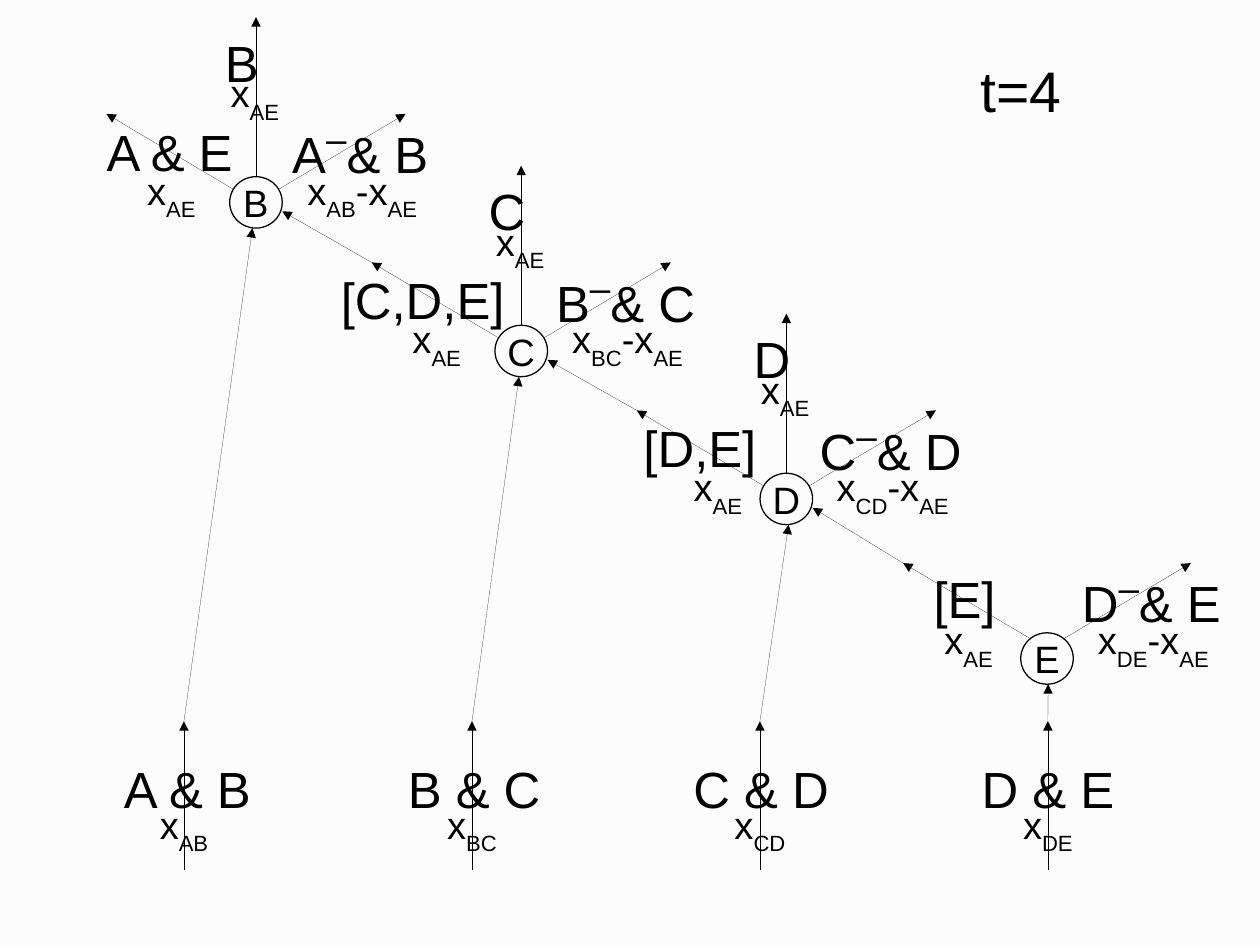
from lxml.etree import SubElement
from pptx import Presentation
from pptx.dml.color import RGBColor
from pptx.enum.shapes import MSO_CONNECTOR, MSO_SHAPE
from pptx.enum.text import MSO_ANCHOR, MSO_AUTO_SIZE, PP_ALIGN
from pptx.oxml.ns import qn
from pptx.util import Pt

BLACK = RGBColor(0x00, 0x00, 0x00)
PAPER = RGBColor(0xFC, 0xFC, 0xFC)
FONT = "Arial"
NODE_W, NODE_H = 33.1, 32.4
RISE = 47.5  # height of every slanted branch
REACH = 79.9  # width of every slanted branch
INPUT_X, INPUT_PITCH = 115.9, 181.4
INPUT_TOP, INPUT_BOTTOM = 454.3, 547.9

prs = Presentation()
prs.slide_width, prs.slide_height = Pt(793.7), Pt(595.28)
slide = prs.slides.add_slide(prs.slide_layouts[5])
slide.background.fill.solid()
slide.background.fill.fore_color.rgb = PAPER


def add_arrow(x1, y1, x2, y2):
    arrow = slide.shapes.add_connector(
        MSO_CONNECTOR.STRAIGHT, Pt(x1), Pt(y1), Pt(x2), Pt(y2))
    arrow.line.color.rgb = BLACK
    hairline = arrow.line._get_or_add_ln()
    hairline.set("w", "0")
    SubElement(hairline, qn("a:tailEnd"), type="triangle")
    SubElement(arrow._element.spPr, qn("a:effectLst"))
    return arrow


def add_label(center, top, text, size=32, shifted_size=40, baseline=33000):
    """Centred label; the parts between bars are raised or lowered."""
    width = size * 4.1
    box = slide.shapes.add_textbox(
        Pt(center - width / 2), Pt(top), Pt(width), Pt(size * 1.35))
    box.text_frame.word_wrap = True
    paragraph = box.text_frame.paragraphs[0]
    paragraph.alignment = PP_ALIGN.CENTER
    for index, part in enumerate(text.split("|")):
        if not part:
            continue
        shifted = index % 2 == 1
        run = paragraph.add_run()
        run.text = part
        run.font.name = FONT
        run.font.color.rgb = BLACK
        run.font.size = Pt(shifted_size if shifted else size)
        if shifted:
            run.font._element.set("baseline", str(baseline))


SUBSCRIPT = {"size": 24, "shifted_size": 24, "baseline": -33000}

# Time step
title = slide.shapes.title
title.left, title.top, title.width, title.height = Pt(610.6), Pt(31), Pt(121.7), Pt(47.5)
title.text = "t=4"
title.text_frame.auto_size = MSO_AUTO_SIZE.NONE
title.text_frame.vertical_anchor = MSO_ANCHOR.TOP
title_line = title.text_frame.paragraphs[0]
title_line.alignment = PP_ALIGN.LEFT
for attribute, value in {"name": FONT, "size": Pt(36)}.items():
    setattr(title_line.font, attribute, value)
title_line.font.color.rgb = BLACK

# Nodes: letter, previous letter, left, top, branch drop, branch inset,
# input arrival offset, left output, its shift and rise, shift of its amount
nodes = [
    ("B", "A", 144.7, 111.3, 7.9, 2.2, -2.2, "A| |& E", -37.8, 54.7, -36.7),
    ("C", "B", 311.8, 204.9, 7.9, 2.2, -1.4, "[C,D,E]", -45.4, 46.8, -36.7),
    ("D", "C", 478.8, 298.1, 7.9, 2.2, 1.4, "[D,E]", -37.8, 46.8, -26.6),
    ("E", "D", 643, 398.6, 3.6, 5.8, 0.7, "[E]", -35.3, 48.2, -32.8),
]

previous_node = None
for i, (letter, before, left, top, drop, inset, arrival, left_output,
        output_shift, output_rise, amount_shift) in enumerate(nodes):
    middle = left + NODE_W / 2
    branch_y = top + drop

    # Circle
    circle = slide.shapes.add_shape(
        MSO_SHAPE.OVAL, Pt(left), Pt(top), Pt(NODE_W), Pt(NODE_H))
    circle.shadow.inherit = False
    circle.fill.background()
    circle.line.color.rgb = BLACK
    circle.line.width = Pt(0.79)
    circle.text_frame.word_wrap = False
    circle.text_frame.vertical_anchor = MSO_ANCHOR.MIDDLE
    circle_line = circle.text_frame.paragraphs[0]
    circle_line.alignment = PP_ALIGN.CENTER
    circle_run = circle_line.add_run()
    circle_run.text = letter
    for attribute, value in {"name": FONT, "size": Pt(24)}.items():
        setattr(circle_run.font, attribute, value)
    circle_run.font.color.rgb = BLACK

    # Input from below
    input_x = INPUT_X + INPUT_PITCH * i
    add_arrow(input_x, INPUT_BOTTOM, input_x, INPUT_TOP)
    add_arrow(input_x, INPUT_TOP, middle + arrival, top + NODE_H)
    add_label(118.1 + 180.7 * i, 473.5, f"{before} & {letter}")
    add_label(input_x, 501.1, f"x|{before}{letter}|", **SUBSCRIPT)

    # Left branch, carried on to the previous node
    left_tip = left + inset - REACH
    add_arrow(left + inset, branch_y, left_tip, branch_y - RISE)
    if previous_node:
        add_arrow(left_tip, branch_y - RISE,
                  previous_node[0] + NODE_W, previous_node[1] + 21.8)
    previous_node = left, top
    add_label(left + output_shift, branch_y - output_rise, left_output)
    add_label(left + amount_shift, branch_y - 17.5, "x|AE|", **SUBSCRIPT)

    # Right branch
    right_start = left + NODE_W - inset
    add_arrow(right_start, branch_y, right_start + REACH, branch_y - RISE)
    add_label(left + 82.3, branch_y - 53.3, f"{before}|–|& {letter}")
    add_label(left + 83.5, branch_y - 17.5, f"x|{before}{letter}|-x|AE|", **SUBSCRIPT)

    # Upward output, absent on the last node
    if letter != "E":
        upward = add_arrow(middle, top, middle, top - 100.5)
        upward.begin_connect(circle, 0)
        add_label(left + 7.6, top - 95, letter)
        add_label(left + 15.8, top - 71, "x|AE|", **SUBSCRIPT)

prs.save("out.pptx")
